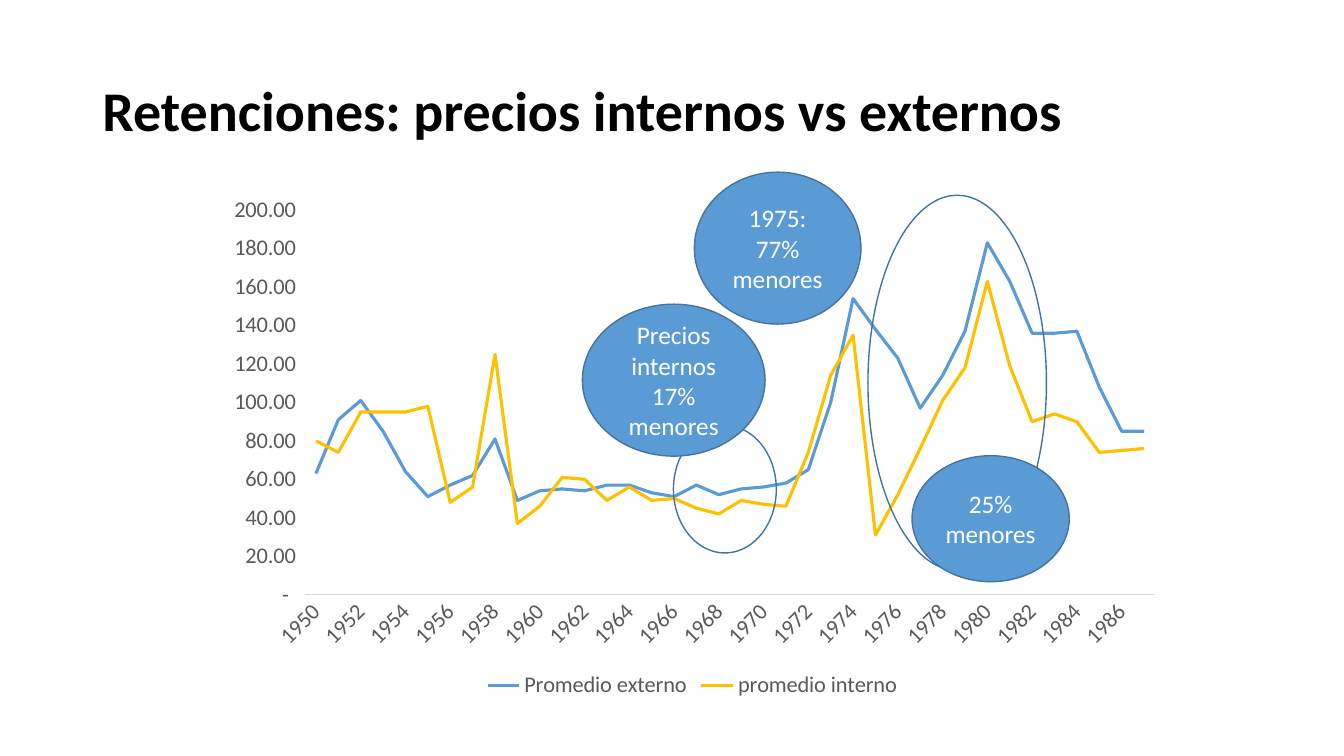
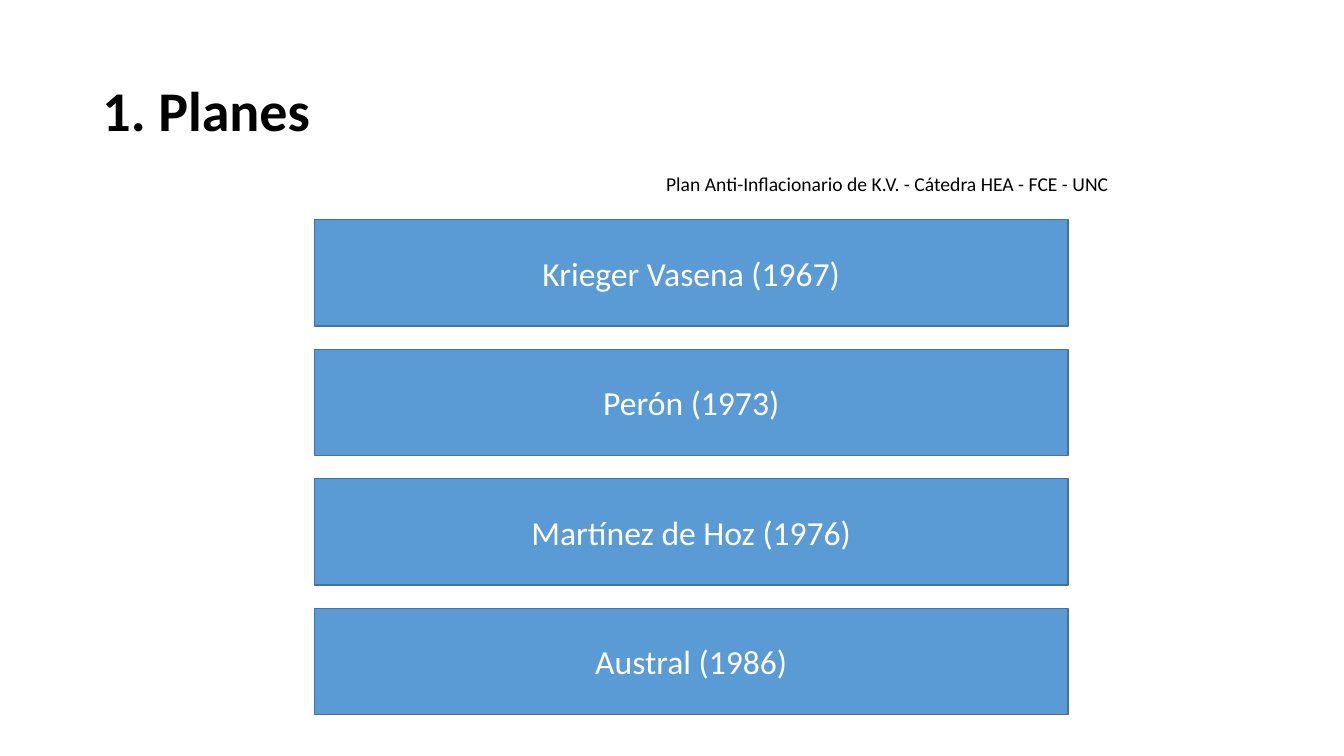
import pptx
import pptx.chart.data
import pptx.dml.color
import pptx.enum.chart
import pptx.enum.shapes
import pptx.enum.text
import pptx.util

Pt = pptx.util.Pt
RGBColor = pptx.dml.color.RGBColor
ShapeKind = pptx.enum.shapes.MSO_SHAPE
Align = pptx.enum.text.PP_ALIGN
Anchor = pptx.enum.text.MSO_ANCHOR

BLUE = RGBColor(0x5B, 0x9B, 0xD5)
OUTLINE = RGBColor(0x43, 0x73, 0x9E)
GOLD = RGBColor(0xFF, 0xC0, 0x00)
GREY = RGBColor(0x59, 0x59, 0x59)
AXIS_GREY = RGBColor(0xD9, 0xD9, 0xD9)
BLACK = RGBColor(0, 0, 0)
WHITE = RGBColor(0xFF, 0xFF, 0xFF)

FONT = "Calibri"
TITLE_FONT = {"name": FONT, "size": Pt(40), "bold": True}
BUBBLE_FONT = {"name": FONT, "size": Pt(18)}
BAR_FONT = {"name": FONT, "size": Pt(24)}
NOTE_FONT = {"name": FONT, "size": Pt(14)}
CHART_FONT = {"name": FONT, "size": Pt(16)}

PRICES_TITLE = "Retenciones: precios internos vs externos"
YEARS = [str(year) for year in range(1950, 1988)]
PRICE_SERIES = [
    ("Promedio externo", BLUE,
     [63, 91, 101, 85, 64, 51, 57, 62, 81, 49, 54, 55, 54, 57, 57, 53, 51, 57, 52,
      55, 56, 58, 65, 100, 154, 138, 123, 97, 114, 137, 183, 163, 136, 136, 137,
      108, 85, 85]),
    ("promedio interno", GOLD,
     [80, 74, 95, 95, 95, 98, 48, 56, 125, 37, 46, 61, 60, 49, 56, 49, 50, 45, 42,
      49, 47, 46, 74, 114, 135, 31, 52, 76, 101, 118, 163, 119, 90, 94, 90, 74,
      75, 76]),
]
PRICE_FORMAT = '_ * #,##0.00_ ;_ * \\-#,##0.00_ ;_ * "-"?'

# Left, top, width, height; a bubble without text is an empty ring.
BUBBLES = [
    ((481, 304, 73.5, 91), None),
    ((416, 217.3, 130.5, 108.5), "Precios internos 17% menores"),
    ((496, 123, 119, 108.5), "1975: 77% menores"),
    ((620, 139.5, 127.5, 268), None),
    ((651.5, 325.5, 112.3, 90), "25% menores"),
]

PLANS_TITLE = "1. Planes"
PLANS_NOTE = "Plan Anti-Inflacionario de K.V. - Cátedra HEA - FCE - UNC"
PLANS = ["Krieger Vasena (1967)", "Perón (1973)", "Martínez de Hoz (1976)",
         "Austral (1986)"]

TITLE_AREA = (66, 29, 828, 104.4)
CHART_AREA = (150, 133, 689, 369.5)
NOTE_AREA = (468.7, 116.6, 462, 28.8)
BAR_LEFT, BAR_TOP, BAR_WIDTH, BAR_HEIGHT, BAR_PITCH = 224.5, 157, 538.5, 75.8, 92.5


def points(area):
    return [Pt(value) for value in area]


def format_font(font, values, color):
    for name, value in values.items():
        setattr(font, name, value)
    font.color.rgb = color


def write_text(shape, text, font_values, color, alignment):
    frame = shape.text_frame
    frame.word_wrap = True
    frame.vertical_anchor = Anchor.MIDDLE
    para = frame.paragraphs[0]
    para.alignment = alignment
    span = para.add_run()
    span.text = text
    format_font(span.font, font_values, color)
    return para


def add_titled_page(deck, title):
    page = deck.slides.add_slide(deck.slide_layouts.get_by_name("Title Only"))
    box = page.shapes.title
    box.left, box.top, box.width, box.height = points(TITLE_AREA)
    para = write_text(box, title, TITLE_FONT, BLACK, Align.LEFT)
    para.line_spacing = 0.9
    box.text_frame.auto_size = pptx.enum.text.MSO_AUTO_SIZE.NONE
    return page


def add_outlined_shape(page, kind, area, text, font_values):
    """Add a blue shape with white text, or an unfilled one if text is None."""
    shape = page.shapes.add_shape(kind, *points(area))
    shape.shadow.inherit = False
    shape.line.color.rgb = OUTLINE
    shape.line.width = Pt(1)
    if text is None:
        shape.fill.background()
    else:
        shape.fill.solid()
        shape.fill.fore_color.rgb = BLUE
        write_text(shape, text, font_values, WHITE, Align.CENTER)


def add_price_chart(page):
    data = pptx.chart.data.CategoryChartData(number_format=PRICE_FORMAT)
    data.categories = YEARS
    for name, _, values in PRICE_SERIES:
        data.add_series(name, values)
    chart = page.shapes.add_chart(
        pptx.enum.chart.XL_CHART_TYPE.LINE, *points(CHART_AREA), data).chart
    format_font(chart.font, CHART_FONT, GREY)
    chart.has_title = False
    chart.has_legend = True
    chart.legend.position = pptx.enum.chart.XL_LEGEND_POSITION.BOTTOM
    chart.legend.include_in_layout = False
    format_font(chart.legend.font, CHART_FONT, GREY)

    plot = chart.plots[0]
    plot.vary_by_categories = False
    for series, (_, color, _) in zip(plot.series, PRICE_SERIES):
        series.smooth = False
        series.format.line.color.rgb = color
        series.format.line.width = Pt(2.25)

    for axis in (chart.category_axis, chart.value_axis):
        axis.has_major_gridlines = False
        axis.major_tick_mark = pptx.enum.chart.XL_TICK_MARK.NONE
        axis.minor_tick_mark = pptx.enum.chart.XL_TICK_MARK.NONE
        format_font(axis.tick_labels.font, CHART_FONT, GREY)

    years = chart.category_axis
    years.format.line.color.rgb = AXIS_GREY
    years.format.line.width = Pt(0.75)
    label_body = years._element.find(
        pptx.oxml.ns.qn("c:txPr")).find(pptx.oxml.ns.qn("a:bodyPr"))
    label_body.set("rot", str(-45 * 60000))

    prices = chart.value_axis
    prices.minimum_scale, prices.maximum_scale, prices.major_unit = 0, 200, 20
    prices.format.line.fill.background()
    prices.tick_labels.number_format = PRICE_FORMAT
    prices.tick_labels.number_format_is_linked = False


def build_prices_page(deck):
    page = add_titled_page(deck, PRICES_TITLE)
    add_price_chart(page)
    for area, text in BUBBLES:
        add_outlined_shape(page, ShapeKind.OVAL, area, text, BUBBLE_FONT)


def build_plans_page(deck):
    page = add_titled_page(deck, PLANS_TITLE)
    note = page.shapes.add_textbox(*points(NOTE_AREA))
    write_text(note, PLANS_NOTE, NOTE_FONT, BLACK, Align.LEFT)
    for index, plan in enumerate(PLANS):
        area = (BAR_LEFT, BAR_TOP + index * BAR_PITCH, BAR_WIDTH, BAR_HEIGHT)
        add_outlined_shape(page, ShapeKind.RECTANGLE, area, plan, BAR_FONT)


def main():
    deck = pptx.Presentation()
    deck.slide_width, deck.slide_height = Pt(960), Pt(540)
    build_prices_page(deck)
    build_plans_page(deck)
    deck.save("out.pptx")


if __name__ == "__main__":
    main()
